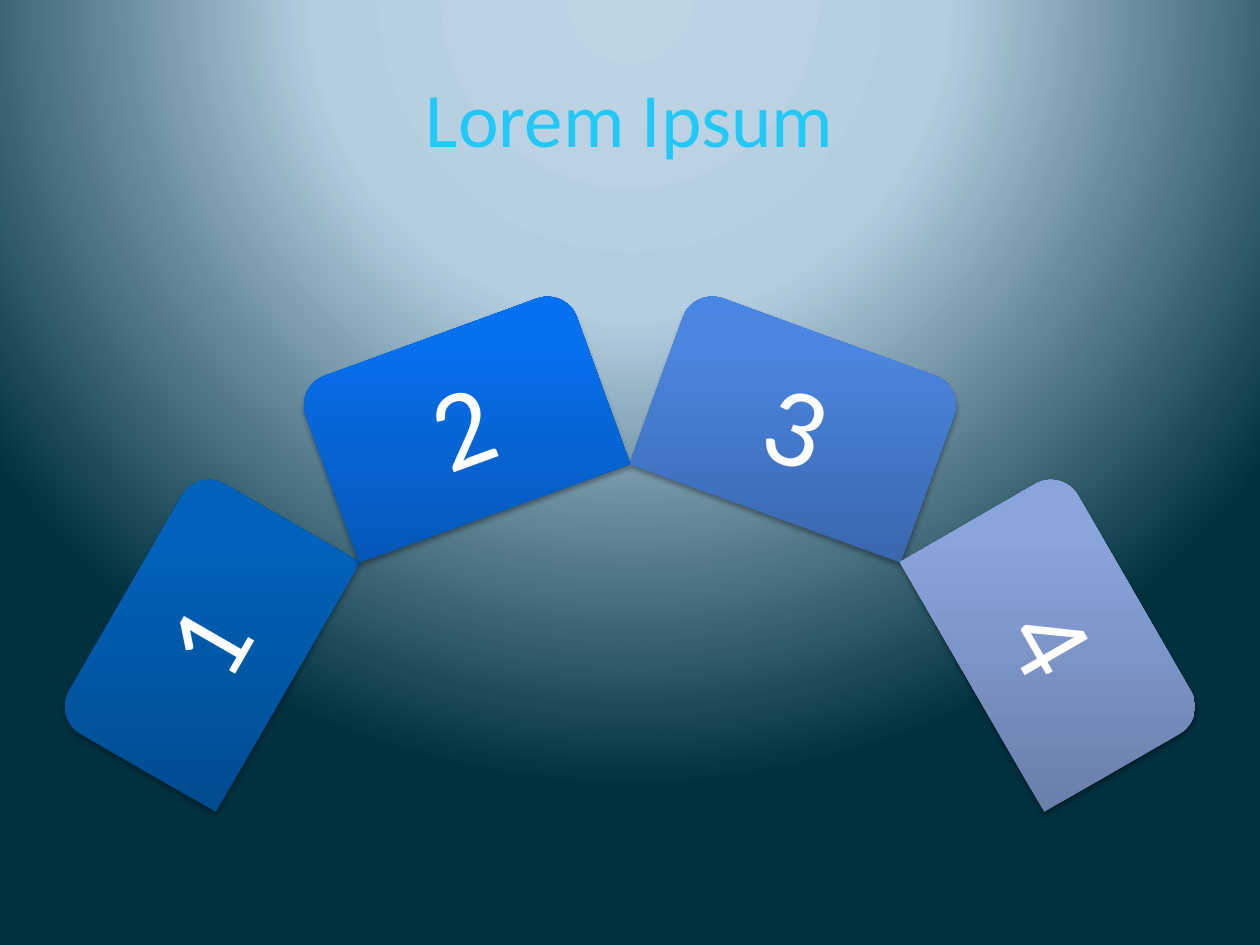
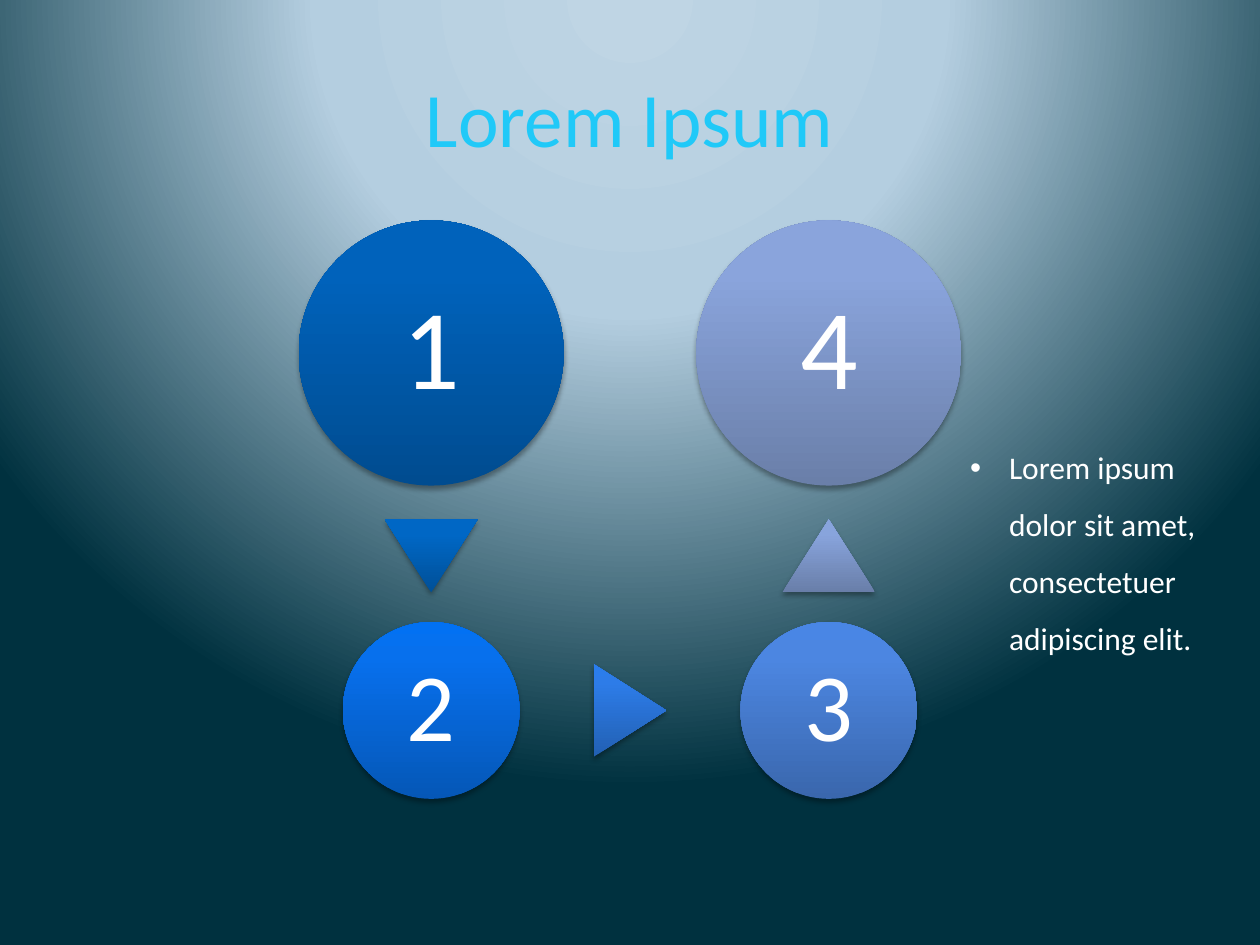
from dataclasses import dataclass
from math import cos, radians, sin, sqrt

from lxml import etree
from pptx import Presentation
from pptx.dml.color import RGBColor
from pptx.enum.shapes import MSO_SHAPE
from pptx.enum.text import MSO_ANCHOR, MSO_AUTO_SIZE, PP_ALIGN
from pptx.oxml.ns import qn
from pptx.util import Inches, Pt

CARD = MSO_SHAPE.ROUND_2_SAME_RECTANGLE
CIRCLE = MSO_SHAPE.OVAL
TRIANGLE = MSO_SHAPE.ISOSCELES_TRIANGLE
MIDDLE = MSO_ANCHOR.MIDDLE
TOP = MSO_ANCHOR.TOP
GROW = MSO_AUTO_SIZE.SHAPE_TO_FIT_TEXT
CENTER = PP_ALIGN.CENTER
LEFT = PP_ALIGN.LEFT

COLUMNS, ROWS, CELL = 200, 150, 0.05


@dataclass(frozen=True)
class Theme:
    font: str = "Calibri"
    title_color: str = "20C9F8"
    text_color: str = "FFFFFF"
    title_size: int = 44
    large_size: int = 65
    small_size: int = 55
    body_size: int = 18
    background: tuple = ((0, "BFD5E4"), (40, "B4CEE0"), (100, "00313F"))
    steps: tuple = (
        ("004C90", "0062BB", "0063BC"),
        ("0557B7", "0770ED", "0271F3"),
        ("3A67AD", "4C86E1", "4986E5"),
        ("6A7FA9", "8AA4DC", "89A5DE"),
    )
    arrows: tuple = (
        ("005098", "0067C5", "0068C6"),
        ("2260B3", "2D7CE8", "297DED"),
        ("697EA9", "88A4DC", "87A4DF"),
    )
    stops: tuple = (0, 80, 100)
    shadow_color: str = "000000"


THEME = Theme()


@dataclass(frozen=True)
class Box:
    left: float
    top: float
    width: float
    height: float

    def point(self, across, down):
        return self.left + across * self.width, self.top + down * self.height

    def emu(self):
        return [Inches(n) for n in (self.left, self.top, self.width, self.height)]


def cells(column, row, columns, rows):
    return Box(column * CELL, row * CELL, columns * CELL, rows * CELL)


def centered(x, y, width, height):
    return Box(x - width / 2, y - height / 2, width, height)


def add_element(parent, tag, **attributes):
    values = {name: str(value) for name, value in attributes.items()}
    return etree.SubElement(parent, qn(tag), values)


def start_gradient(fill, element, stops):
    fill.gradient()
    gradient = next(element.iter(qn("a:gradFill")))
    for child in list(gradient):
        gradient.remove(child)
    gradient.set("rotWithShape", "0")
    stop_list = add_element(gradient, "a:gsLst")
    for position, color in stops:
        stop = add_element(stop_list, "a:gs", pos=position * 1000)
        add_element(stop, "a:srgbClr", val=color)
    return gradient


def paint_background(master):
    gradient = start_gradient(master.background.fill, master._element, THEME.background)
    glow = add_element(gradient, "a:path", path="circle")
    add_element(glow, "a:fillToRect", l=50000, t=-80000, r=50000, b=180000)


def add_soft_shadow(shape):
    shape.shadow.inherit = False
    effects = shape._element.spPr.find(qn("a:effectLst"))
    shadow = add_element(effects, "a:outerShdw", blurRad=Pt(3.1), dist=Pt(1.8),
                         dir=90 * 60000, rotWithShape=0)
    color = add_element(shadow, "a:srgbClr", val=THEME.shadow_color)
    add_element(color, "a:alpha", val=35000)


def add_solid(slide, kind, box, colors, rotation=0):
    shape = slide.shapes.add_shape(kind, *box.emu())
    shape.rotation = rotation % 360
    gradient = start_gradient(shape.fill, shape._element.spPr,
                              zip(THEME.stops, colors))
    add_element(gradient, "a:lin", ang=270 * 60000, scaled=0)
    shape.line.fill.background()
    add_soft_shadow(shape)


def add_text(slide, box, text, size, color=THEME.text_color, align=CENTER,
             anchor=MIDDLE, insets=(0.1, 0.05)):
    text_box = slide.shapes.add_textbox(*box.emu())
    frame = text_box.text_frame
    frame.word_wrap = True
    frame.vertical_anchor = anchor
    frame.margin_left = frame.margin_right = Inches(insets[0])
    frame.margin_top = frame.margin_bottom = Inches(insets[1])
    paragraph = frame.paragraphs[0]
    paragraph.text = text
    paragraph.alignment = align
    paragraph.font.name = THEME.font
    paragraph.font.size = Pt(size)
    paragraph.font.color.rgb = RGBColor.from_string(color)
    return text_box


def add_number(slide, box, number, size, insets, rotation=0):
    label = add_text(slide, box, str(number), size, insets=insets)
    label.rotation = rotation % 360
    paragraph = label.text_frame.paragraphs[0]
    paragraph.line_spacing = 0.9
    spacing = etree.Element(qn("a:spcAft"))
    add_element(spacing, "a:spcPct", val=35000)
    paragraph._p.pPr.find(qn("a:lnSpc")).addnext(spacing)


def add_title(slide, box):
    add_text(slide, box, "Lorem Ipsum", THEME.title_size, THEME.title_color)


def add_card_arc(slide, box):
    radius = 0.43 * box.width
    width = 0.59 * radius
    height = 0.65 * width
    pivot_x, pivot_y = box.point(0.5, 1)

    def on_arc(distance, angle, scale_x=1, scale_y=1):
        turn = radians(angle)
        return centered(pivot_x + distance * sin(turn), pivot_y - distance * cos(turn),
                        scale_x * width, scale_y * height)

    for index, colors in enumerate(THEME.steps):
        angle = -60 + 40 * index
        add_solid(slide, CARD, on_arc(radius, angle), colors, angle)
        add_number(slide, on_arc(0.99 * radius, angle, 0.94, 0.95), index + 1,
                   THEME.large_size, (0.27, 0.09), angle)


def add_circle_cycle(slide, box):
    large = 0.4 * box.width
    small = large * 2 / 3
    left_x = box.left + large / 2
    right_x = box.left + box.width - large / 2
    top_y = box.top + large / 2
    bottom_y = box.top + box.height - small / 2
    middle_x, gap_y = box.point(0.5, 0.58)

    circles = (
        (left_x, top_y, large, THEME.large_size, 0.09),
        (left_x, bottom_y, small, THEME.small_size, 0.08),
        (right_x, bottom_y, small, THEME.small_size, 0.08),
        (right_x, top_y, large, THEME.large_size, 0.09),
    )
    for number, (x, y, diameter, size, inset) in enumerate(circles, 1):
        add_solid(slide, CIRCLE, centered(x, y, diameter, diameter),
                  THEME.steps[number - 1])
        inner = diameter / sqrt(2)
        add_number(slide, centered(x, y, inner, inner), number, size, (inset, inset))

    arrows = ((left_x, gap_y, 180), (middle_x, bottom_y, 90), (right_x, gap_y, 0))
    for (x, y, rotation), colors in zip(arrows, THEME.arrows):
        arrow = centered(x, y, 0.14 * box.width, 0.11 * box.width)
        add_solid(slide, TRIANGLE, arrow, colors, rotation)


def add_bullet_text(slide, box):
    text_box = add_text(slide, box,
                        "Lorem ipsum dolor sit amet, consectetuer adipiscing elit.",
                        THEME.body_size, align=LEFT, anchor=TOP)
    text_box.text_frame.auto_size = GROW
    paragraph = text_box.text_frame.paragraphs[0]
    paragraph.line_spacing = 1.5
    properties = paragraph._p.pPr
    properties.set("marL", str(Inches(0.31)))
    properties.set("indent", str(-Inches(0.31)))
    bullet = etree.Element(qn("a:buChar"), char="•")
    properties.find(qn("a:defRPr")).addprevious(bullet)
    bullet_font = etree.Element(qn("a:buFont"), typeface="Arial")
    bullet.addprevious(bullet_font)


def add_slide(presentation):
    slide = presentation.slides.add_slide(presentation.slide_layouts[6])
    add_title(slide, cells(10, 6, 180, 25))
    return slide


def main():
    presentation = Presentation()
    presentation.slide_width = Inches(COLUMNS * CELL)
    presentation.slide_height = Inches(ROWS * CELL)
    paint_background(presentation.slide_master)

    add_card_arc(add_slide(presentation), cells(9.8, 35, 180.4, 105.4))

    cycle_slide = add_slide(presentation)
    add_circle_cycle(cycle_slide, cells(47.4, 35, 105.2, 91.8))
    add_bullet_text(cycle_slide, cells(152, 67.2, 46.4, 38.4))

    presentation.save("out.pptx")


if __name__ == "__main__":
    main()
